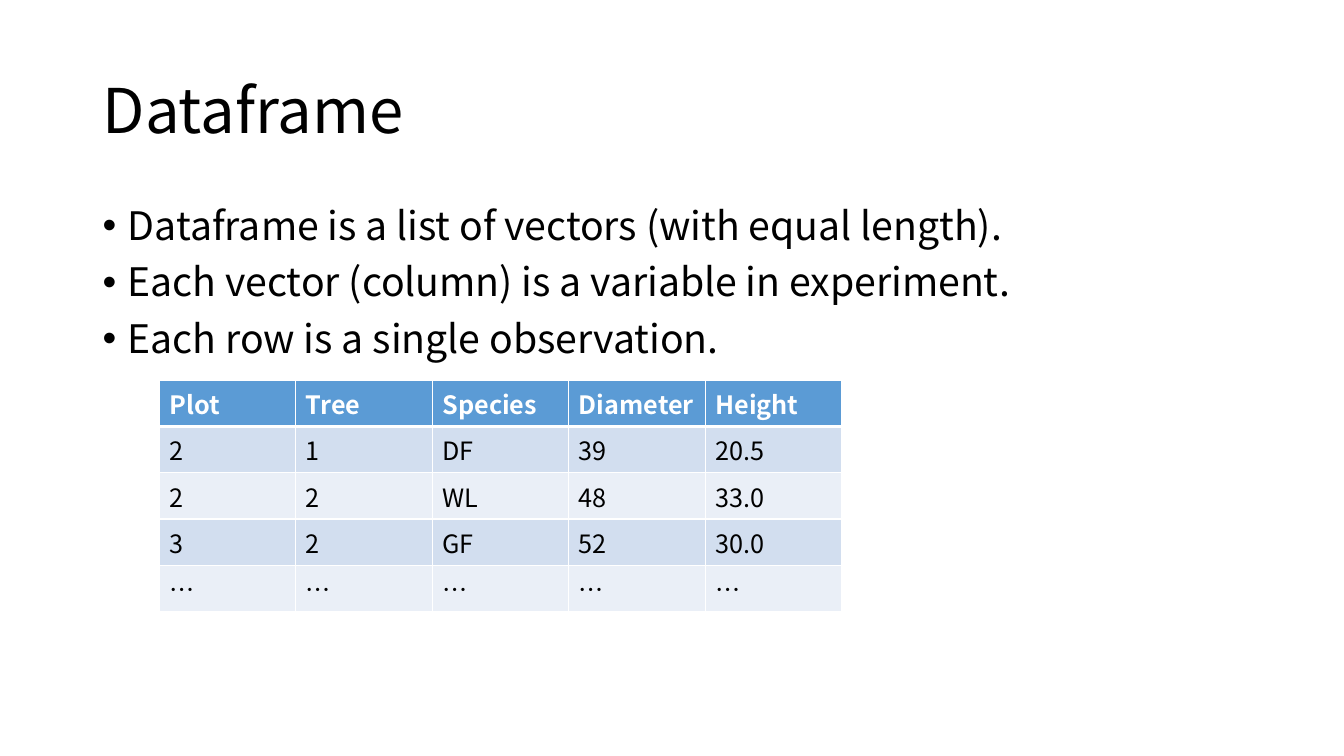
from lxml import etree
from pptx import Presentation
from pptx.dml.color import RGBColor
from pptx.enum import text
from pptx.oxml.ns import qn
from pptx.util import Inches, Pt

TITLE = "Dataframe"
POINTS = [
    "Dataframe is a list of vectors (with equal length).",
    "Each vector (column) is a variable in experiment.",
    "Each row is a single observation.",
]
ROWS = [
    ("Plot", "Tree", "Species", "Diameter", "Height"),
    ("2", "1", "DF", "39", "20.5"),
    ("2", "2", "WL", "48", "33.0"),
    ("3", "2", "GF", "52", "30.0"),
    ("…",) * 5,
]

FONT = "Noto Sans CJK KR"
BLACK = RGBColor(0x00, 0x00, 0x00)
WHITE = RGBColor(0xFF, 0xFF, 0xFF)
HEADER_BLUE = RGBColor(0x5B, 0x9B, 0xD5)
BANDS = [RGBColor(0xEA, 0xEF, 0xF7), RGBColor(0xD2, 0xDE, 0xEF)]
COLUMN_WIDTH, ROW_HEIGHT = 1.354, 0.46


def style(para, size, color=BLACK, bold=False):
    """Set the font of a paragraph, for Latin and East Asian glyphs alike."""
    font = para.font
    font.name, font.size, font.bold = FONT, Pt(size), bold
    font.color.rgb = color
    properties = para._p.pPr.find(qn("a:defRPr"))
    etree.SubElement(properties, qn("a:ea"), typeface=FONT)


def add_lines(page, top, height, lines, size, anchor):
    """Add a text box with one paragraph per line and return its paragraphs."""
    box = page.shapes.add_textbox(Inches(0.92), Inches(top), Inches(11.5), Inches(height))
    frame = box.text_frame
    frame.word_wrap = True
    frame.vertical_anchor = anchor
    frame.text = "\n".join(lines)
    for para in frame.paragraphs:
        para.line_spacing = 0.9
        style(para, size)
    return frame.paragraphs


def add_bullet(para):
    """Give a paragraph a hanging round bullet."""
    properties = para._p.get_or_add_pPr()
    properties.set("marL", str(Inches(0.25)))
    properties.set("indent", str(Inches(-0.25)))
    font = etree.Element(qn("a:buFont"), typeface="Arial")
    bullet = etree.Element(qn("a:buChar"), char="•")
    defaults = properties.find(qn("a:defRPr"))
    defaults.addprevious(font)
    defaults.addprevious(bullet)


def add_borders(cell, top, bottom):
    """Draw white cell borders, with the top and bottom widths in points."""
    properties = cell._tc.get_or_add_tcPr()
    for place, (side, width) in enumerate(
        [("lnL", 1), ("lnR", 1), ("lnT", top), ("lnB", bottom)]
    ):
        line = etree.Element(qn(f"a:{side}"), w=str(Pt(width)))
        fill = etree.SubElement(line, qn("a:solidFill"))
        etree.SubElement(fill, qn("a:srgbClr"), val=str(WHITE))
        properties.insert(place, line)


def add_data_table(page):
    """Add the sample data frame with a header and banded rows."""
    count = len(ROWS[0])
    table = page.shapes.add_table(
        len(ROWS), count, Inches(1.58), Inches(3.77),
        Inches(COLUMN_WIDTH * count), Inches(ROW_HEIGHT * len(ROWS)),
    ).table
    for r, values in enumerate(ROWS):
        header = r == 0
        for c, value in enumerate(values):
            cell = table.cell(r, c)
            cell.text = value
            cell.fill.solid()
            cell.fill.fore_color.rgb = HEADER_BLUE if header else BANDS[r % 2]
            style(cell.text_frame.paragraphs[0], 18, WHITE if header else BLACK, header)
            add_borders(cell, top=3 if r == 1 else 1, bottom=3 if header else 1)


deck = Presentation()
deck.slide_width, deck.slide_height = Inches(13.33), Inches(7.5)
page = deck.slides.add_slide(deck.slide_layouts[6])

add_lines(page, 0.4, 1.45, [TITLE], 44, text.MSO_ANCHOR.MIDDLE)
for para in add_lines(page, 2, 4.76, POINTS, 28, text.MSO_ANCHOR.TOP):
    para.space_before = Pt(10)
    add_bullet(para)
add_data_table(page)

deck.save("out.pptx")
